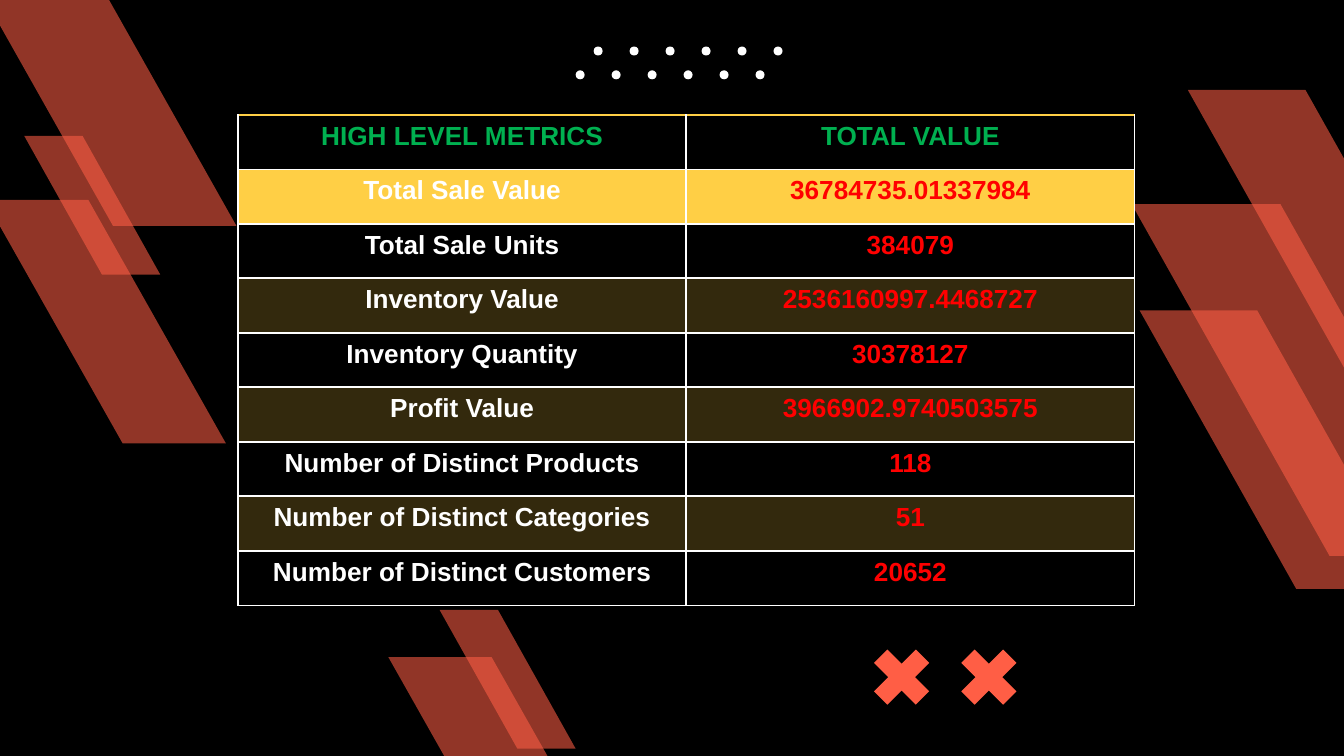
import typing

import pptx
import pptx.dml.color
import pptx.enum.shapes
import pptx.enum.text
import pptx.oxml
import pptx.oxml.ns
import pptx.util

Cm, Pt = pptx.util.Cm, pptx.util.Pt
MSO = pptx.enum.shapes.MSO_SHAPE

CORAL, GOLD, WHITE = "FF5E45", "FFCF45", "FFFFFF"
GREEN, RED, BLACK = "00B050", "FF0000", "000000"


class Box(typing.NamedTuple):
    """Position and size in centimetres."""
    left: float
    top: float
    width: float
    height: float


class Metric(typing.NamedTuple):
    name: str
    value: str


STRIPES = [
    Box(21.39, 3.86, 6.55, 6.65), Box(22.45, 1.7, 5.18, 5.26),
    Box(21.54, 5.87, 5.18, 5.26), Box(-0.97, -1.24, 5.44, 5.51),
    Box(0.46, 2.57, 2.57, 2.62), Box(-0.28, 3.78, 4.55, 4.6),
    Box(7.34, 12.42, 4.55, 4.6), Box(8.31, 11.53, 2.57, 2.62),
]
METRICS = [
    Metric("HIGH LEVEL METRICS", "TOTAL VALUE"),
    Metric("Total Sale Value", "36784735.01337984"),
    Metric("Total Sale Units", "384079"),
    Metric("Inventory Value", "2536160997.4468727"),
    Metric("Inventory Quantity", "30378127"),
    Metric("Profit Value", "3966902.9740503575"),
    Metric("Number of Distinct Products", "118"),
    Metric("Number of Distinct Categories", "51"),
    Metric("Number of Distinct Customers", "20652"),
]
CELL_FONT = {"name": "Arial", "size": Pt(14), "bold": True}


def rgb(color: str) -> pptx.dml.color.RGBColor:
    return pptx.dml.color.RGBColor.from_string(color)


def paint(fill, element, color: str, alpha: int = 100) -> None:
    """Fill with a solid colour; alpha is the opacity in percent."""
    fill.solid()
    fill.fore_color.rgb = rgb(color)
    if alpha < 100:
        clr = element.find(".//" + pptx.oxml.ns.qn("a:srgbClr"))
        clr.append(pptx.oxml.parse_xml(
            f'<a:alpha {pptx.oxml.ns.nsdecls("a")} val="{alpha * 1000}"/>'))


def add_shape(shapes, kind, box: Box, color: str, alpha: int = 100):
    sp = shapes.add_shape(kind, *(Cm(v) for v in box))
    sp.shadow.inherit = False
    sp.line.fill.background()
    paint(sp.fill, sp._element.spPr, color, alpha)
    return sp


def add_border(cell, side: str, color: str, width: float) -> None:
    tc_pr = cell._tc.get_or_add_tcPr()
    tc_pr.append(pptx.oxml.parse_xml(
        f'<a:ln{side} {pptx.oxml.ns.nsdecls("a")} w="{Pt(width)}">'
        f'<a:solidFill><a:srgbClr val="{color}"/></a:solidFill></a:ln{side}>'))


def write_cell(cell, text: str, color: str) -> None:
    p = cell.text_frame.paragraphs[0]
    p.alignment = pptx.enum.text.PP_ALIGN.CENTER
    r = p.add_run()
    r.text = text
    for key, value in CELL_FONT.items():
        setattr(r.font, key, value)
    r.font.color.rgb = rgb(color)


def add_metrics_table(s, box: Box) -> None:
    last = len(METRICS) - 1
    frame = s.shapes.add_table(len(METRICS), 2, *(Cm(v) for v in box))
    table = frame.table
    table.first_row = table.horz_banding = False
    for i, metric in enumerate(METRICS):
        table.rows[i].height = Cm(box.height / len(METRICS))
        colors = (GREEN, GREEN) if i == 0 else (WHITE, RED)
        for j, (text, color) in enumerate(zip(metric, colors)):
            cell = table.cell(i, j)
            write_cell(cell, text, color)
            # Rules above and below the header and under the last row
            if i == 0:
                add_border(cell, "T", GOLD, 1)
            if i == 1:
                add_border(cell, "T", WHITE, 0.5)
            if i in (0, last):
                add_border(cell, "B", WHITE, 0.5)
            # Every other row is tinted
            if i % 2:
                paint(cell.fill, cell._tc.tcPr, GOLD, 20)
            else:
                cell.fill.background()


def main() -> None:
    prs = pptx.Presentation()
    prs.slide_width, prs.slide_height = Cm(25.4), Cm(14.29)
    s = prs.slides.add_slide(prs.slide_layouts[6])
    s.background.fill.solid()
    s.background.fill.fore_color.rgb = rgb(BLACK)

    # Slanted translucent stripes
    for box in STRIPES:
        sp = add_shape(s.shapes, MSO.PARALLELOGRAM, box, CORAL, 57)
        sp.adjustments[0] = 0.571
        sp._element.spPr.xfrm.set("flipH", "1")

    # Two staggered rows of dots
    dots = s.shapes.add_group_shape()
    pitch, size = 0.68, 0.17
    for left, top in ((10.88, 1.33), (10.88 + pitch / 2, 0.88)):
        for i in range(6):
            add_shape(dots.shapes, MSO.OVAL,
                      Box(left + i * pitch, top, size, size), WHITE)

    # Pair of crosses
    for i in range(2):
        sp = add_shape(s.shapes, MSO.MATH_MULTIPLY,
                       Box(16.28 + i * 1.65, 12.04, 1.52, 1.52), CORAL)
        sp.adjustments[0] = 0.235

    add_metrics_table(s, Box(4.5, 2.17, 16.94, 9.27))
    prs.save("out.pptx")


if __name__ == "__main__":
    main()
